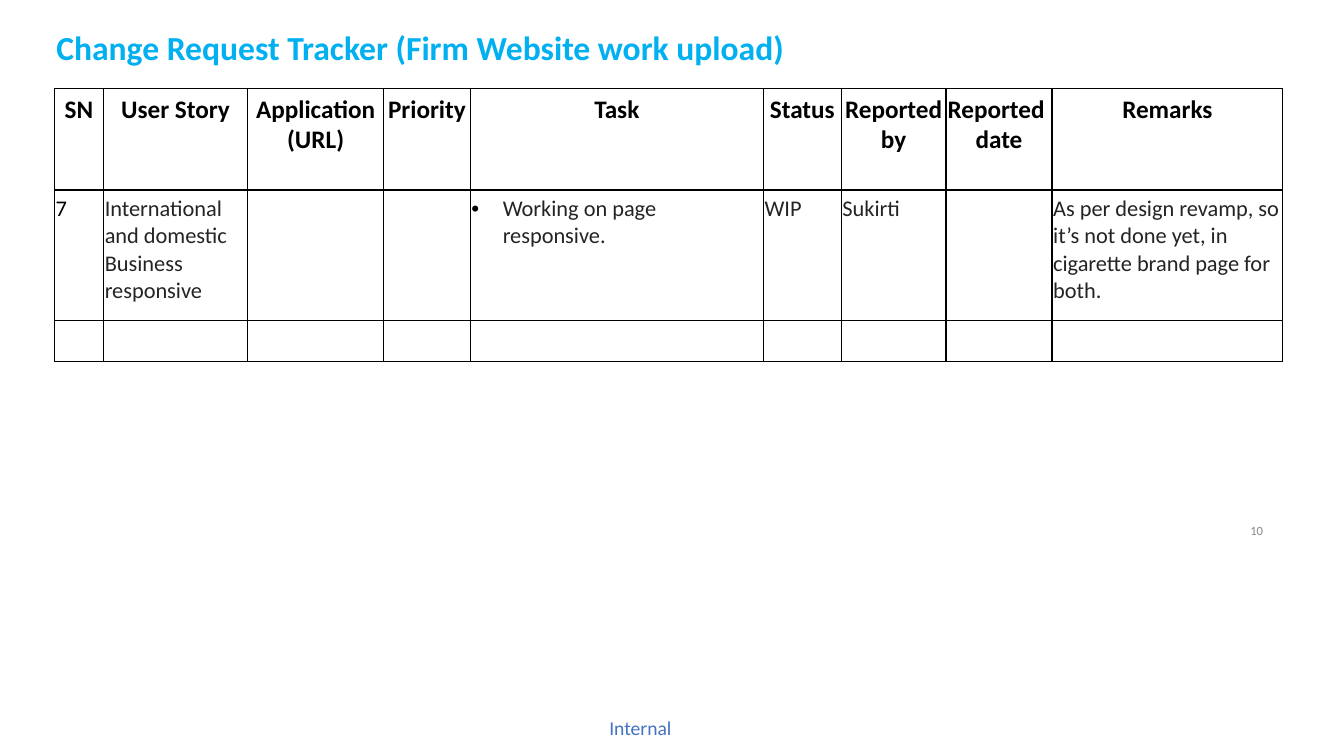
import pptx
import pptx.util
import pptx.dml.color
import pptx.enum.shapes
import pptx.enum.text
import pptx.oxml
import pptx.oxml.ns
from dataclasses import dataclass

Cm, Pt = pptx.util.Cm, pptx.util.Pt
RGB = pptx.dml.color.RGBColor.from_string
ALIGN = pptx.enum.text.PP_ALIGN
ANCHOR = pptx.enum.text.MSO_ANCHOR
NS = pptx.oxml.ns.nsdecls("a")


@dataclass
class Theme:
    font: str = "Calibri"
    white: str = "FFFFFF"
    black: str = "000000"
    ink: str = "242424"
    title: str = "00B0F0"
    label: str = "4472C4"
    muted: str = "888888"
    title_size: int = 24
    head_size: int = 18
    body_size: int = 16
    label_size: int = 14
    number_size: int = 9


theme = Theme()


def write(tf, text, size=theme.body_size, color=theme.ink, bold=False,
          align=ALIGN.LEFT, bullet=False):
    """Fill a text frame, one paragraph per line of text."""
    tf.word_wrap = True
    for i, line in enumerate(text.split("\n")):
        p = tf.add_paragraph() if i else tf.paragraphs[0]
        p.alignment = align
        if bullet:
            pPr = p._p.get_or_add_pPr()
            pPr.set("marL", str(Cm(0.79)))
            pPr.set("indent", str(-Cm(0.79)))
            for xml in (f'<a:buClr {NS}><a:srgbClr val="{theme.black}"/></a:buClr>',
                        f'<a:buFont {NS} typeface="Arial"/>',
                        f'<a:buChar {NS} char="•"/>'):
                pPr.append(pptx.oxml.parse_xml(xml))
        r = p.add_run()
        r.text = line
        r.font.name, r.font.size, r.font.bold = theme.font, Pt(size), bold
        r.font.color.rgb = RGB(color)


prs = pptx.Presentation()
prs.slide_width, prs.slide_height = Cm(33.87), Cm(19.05)
s = prs.slides.add_slide(prs.slide_layouts[6])

# Slide number
sp = s.shapes.add_textbox(Cm(30.56), Cm(13.06), Cm(1.52), Cm(0.61))
sp.text_frame.vertical_anchor = ANCHOR.MIDDLE
write(sp.text_frame, "10", size=theme.number_size, color=theme.muted, align=ALIGN.RIGHT)

# Tracker table
columns = [
    ("SN", 1.24, "7"),
    ("User Story", 3.63, "International and domestic Business responsive"),
    ("Application\n(URL)", 3.43, ""),
    ("Priority", 2.18, ""),
    ("Task", 7.39, "Working on page responsive."),
    ("Status", 1.96, "WIP"),
    ("Reported by", 2.64, "Sukirti"),
    ("Reported \ndate", 2.67, ""),
    ("Remarks", 5.82, "As per design revamp, so it’s not done yet, "
                      "in cigarette brand page for both."),
]
row_heights = [2.55, 3.28, 1.04]
table = s.shapes.add_table(len(row_heights), len(columns), Cm(1.37), Cm(2.24),
                           Cm(sum(c[1] for c in columns)), Cm(sum(row_heights))).table
table.first_row = table.horz_banding = False
for row, height in zip(table.rows, row_heights):
    row.height = Cm(height)

for col, (head, width, entry) in enumerate(columns):
    table.columns[col].width = Cm(width)
    for row in range(len(row_heights)):
        cell = table.cell(row, col)
        cell.margin_left = cell.margin_right = Cm(0.03)
        cell.margin_top = cell.margin_bottom = Cm(0.13)
        tcPr = cell._tc.get_or_add_tcPr()
        for side in ("lnL", "lnR", "lnT", "lnB"):
            tcPr.append(pptx.oxml.parse_xml(
                f'<a:{side} {NS} w="{Pt(0.96)}"><a:solidFill>'
                f'<a:srgbClr val="{theme.black}"/></a:solidFill></a:{side}>'))
        cell.fill.solid()
        cell.fill.fore_color.rgb = RGB(theme.white)
    write(table.cell(0, col).text_frame, head, size=theme.head_size,
          color=theme.black, bold=True, align=ALIGN.CENTER)
    if entry:
        write(table.cell(1, col).text_frame, entry, bullet=head == "Task",
              color=theme.black if head == "SN" else theme.ink)

# Title
sp = s.shapes.add_shape(pptx.enum.shapes.MSO_SHAPE.RECTANGLE,
                        Cm(1.17), Cm(0.56), Cm(27.61), Cm(1.4))
sp.shadow.inherit = False
sp.fill.solid()
sp.fill.fore_color.rgb = RGB(theme.white)
sp.line.fill.background()
sp.text_frame.vertical_anchor = ANCHOR.TOP
write(sp.text_frame, "Change Request Tracker (Firm Website work upload)",
      size=theme.title_size, color=theme.title, bold=True)

# Classification label
sp = s.shapes.add_textbox(Cm(14.94), Cm(17.63), Cm(2.4), Cm(1.42))
write(sp.text_frame, "Internal", size=theme.label_size, color=theme.label, align=ALIGN.CENTER)
sp.text_frame.word_wrap = False
sp.text_frame.vertical_anchor = ANCHOR.MIDDLE

prs.save("out.pptx")
